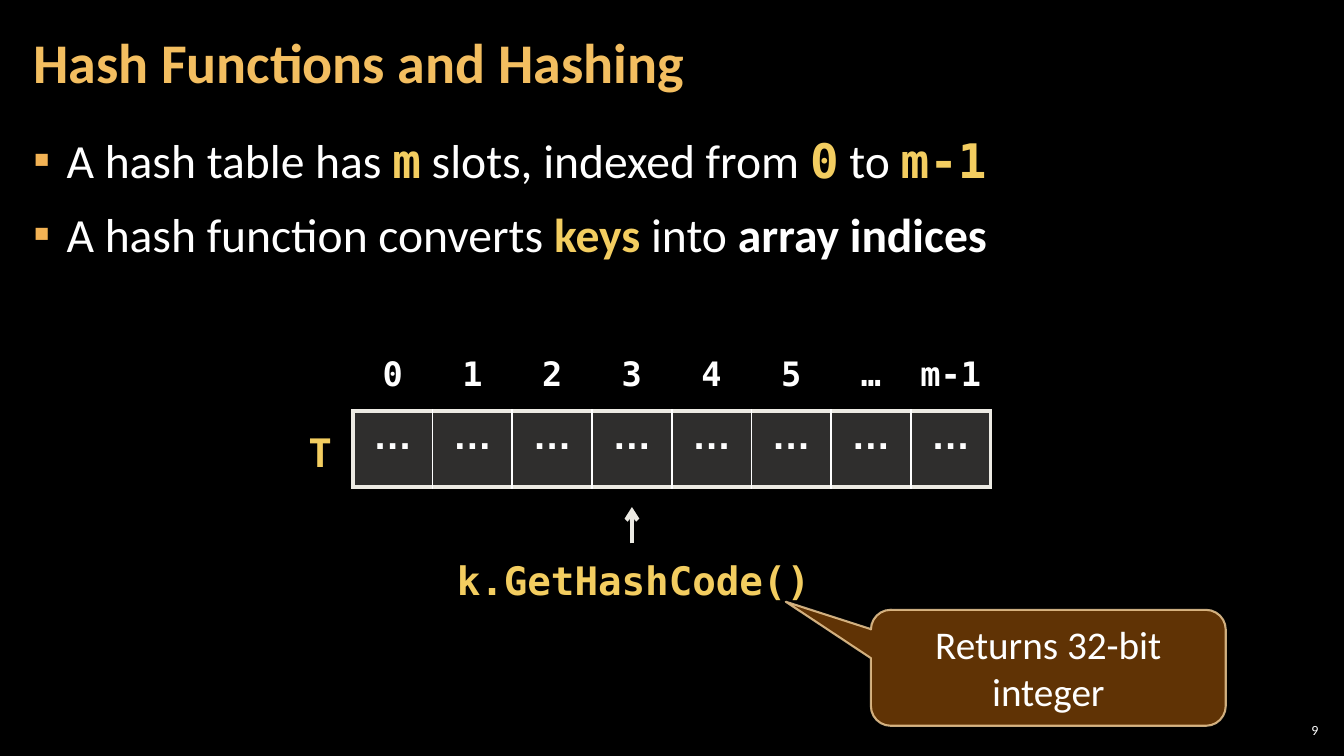
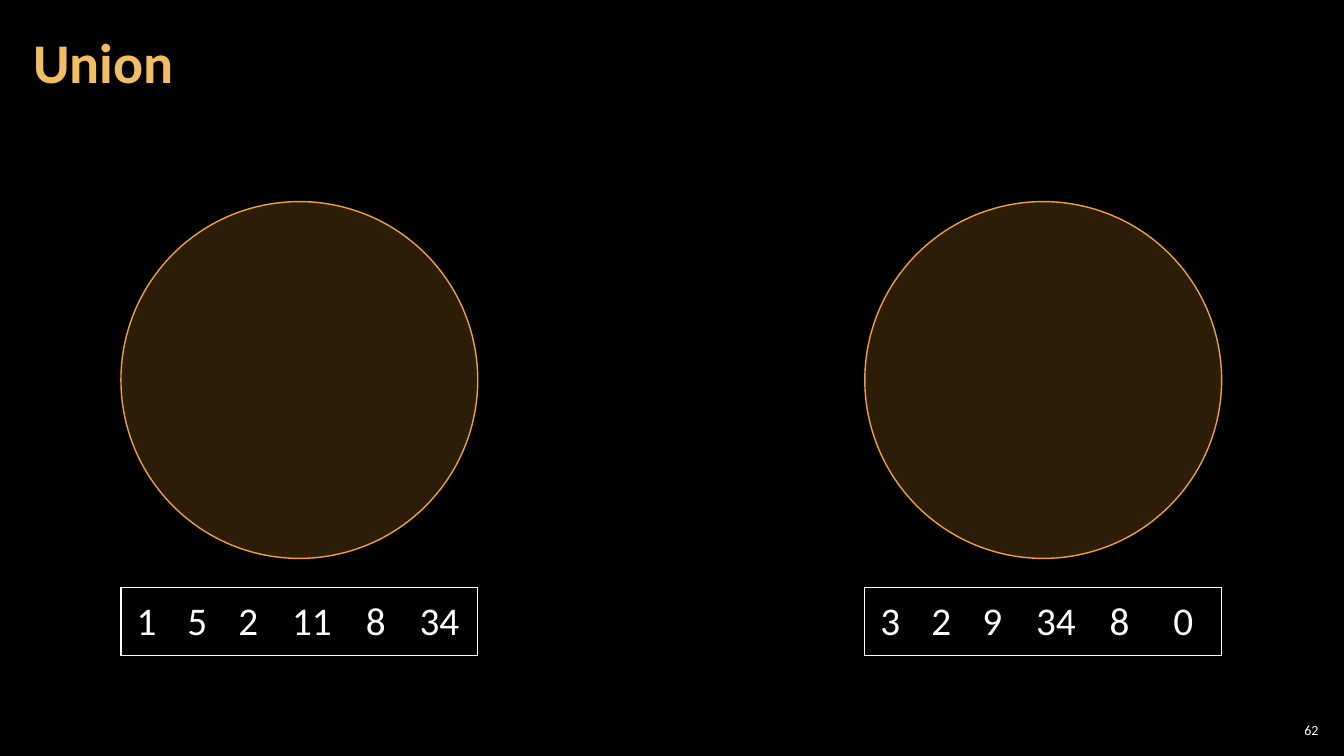
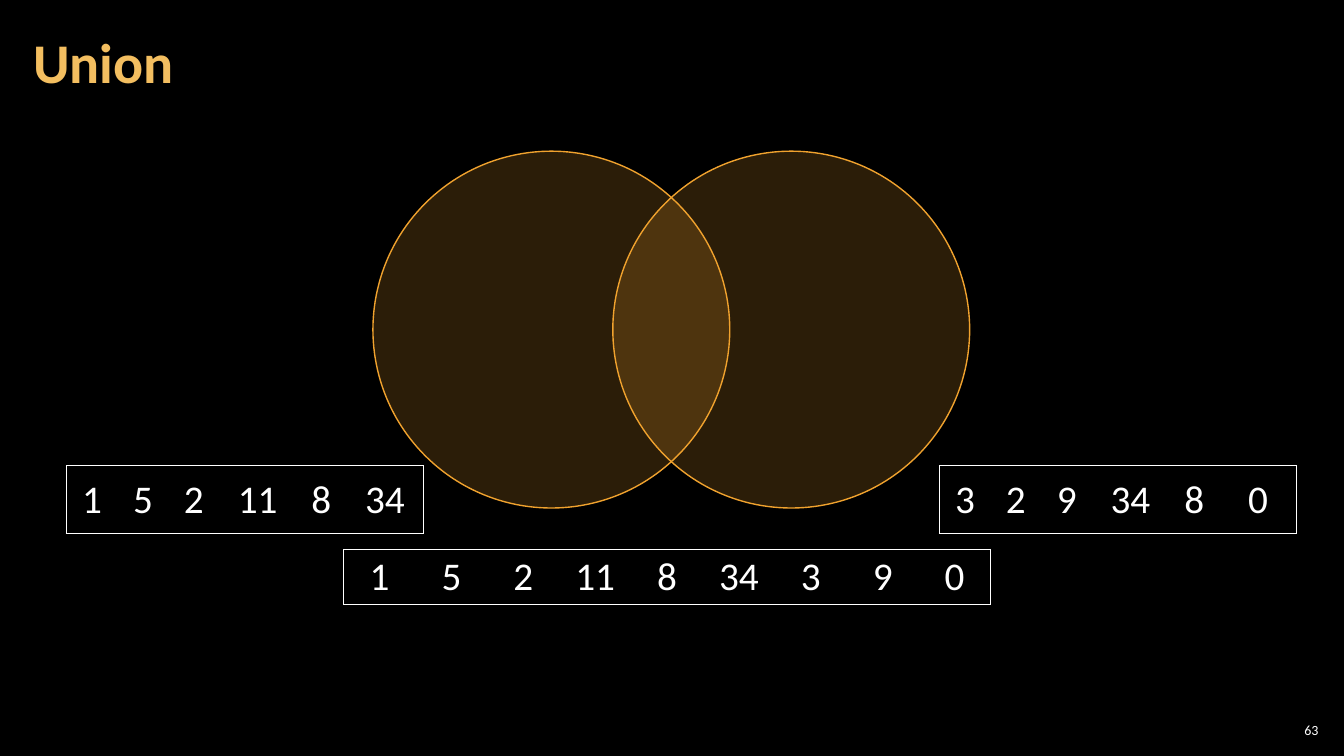
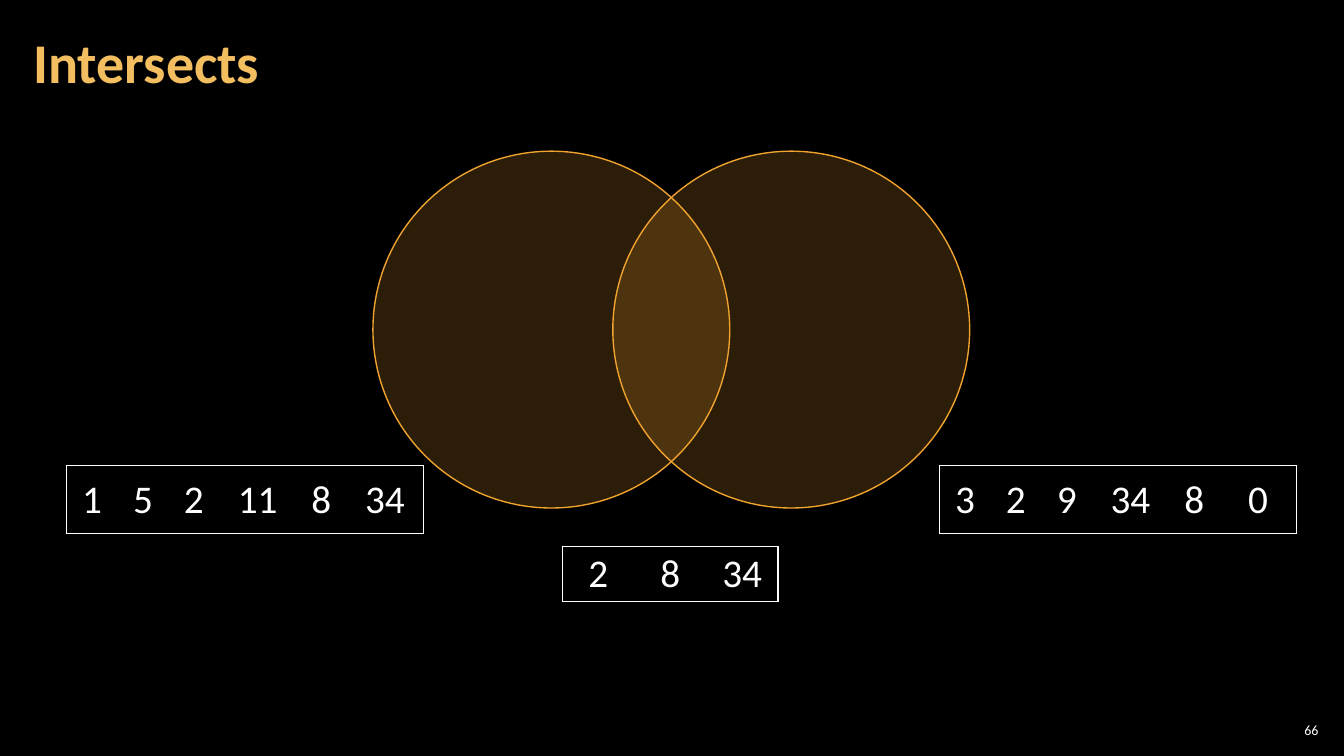
"""Build four slides on hash tables and set operations."""
from lxml.etree import SubElement
from pptx import Presentation
from pptx.dml.color import RGBColor
from pptx.enum.shapes import MSO_CONNECTOR, MSO_SHAPE
from pptx.enum.text import MSO_ANCHOR, MSO_AUTO_SIZE, PP_ALIGN
from pptx.oxml import parse_xml
from pptx.oxml.ns import nsdecls, qn
from pptx.util import Pt

SANS, MONO, DOTS = "Calibri", "DejaVu Sans Mono", "Arial"
BLACK, WHITE, IVORY = "000000", "FFFFFF", "ECEAE3"
TITLE, CODE, BULLET, ORANGE = "F3BE60", "F3CD60", "F2B254", "F0A22E"
BROWN, SAND = "663606", "F8D49E"
NO_STYLE = "{2D5ABB26-0587-4C30-8999-92F81FD0307C}"

PLAIN = (SANS, WHITE, False)
BOLD = (SANS, WHITE, True)
KEY = (SANS, CODE, True)
MONO_KEY = (MONO, CODE, True)

HASH_TITLE, HASH_NUMBER = "Hash Functions and Hashing", 9
HASH_BULLETS = [
    [("A hash table has ", PLAIN), ("m", MONO_KEY), (" slots, indexed from ", PLAIN),
     ("0", MONO_KEY), (" to ", PLAIN), ("m-1", MONO_KEY)],
    [("A hash function converts ", PLAIN), ("keys", KEY), (" into ", PLAIN),
     ("array indices", BOLD)],
]
INDICES = ["0", "1", "2", "3", "4", "5", "…", "m-1"]
SLOTS = ["…"] * len(INDICES)
ARRAY_X, ARRAY_W = 350, 633

SET_A, SET_B = ["1", "5", "2", "11", "8", "34"], ["3", "2", "9", "34", "8", "0"]
SET_WEIGHTS = [2, 2, 2, 3, 2, 3]
SET_W, SET_H = 354, 67
RESULT_COL, RESULT_H = 71.33, 55
APART = {"circles": (120, 858), "circle_y": 200, "lists": (120, 858), "list_y": 583}
OVERLAP = {"circles": (370, 608), "circle_y": 150, "lists": (66, 932), "list_y": 462}
SET_SLIDES = [
    ("Union", 62, APART, None),
    ("Union", 63, OVERLAP, (341, 545, ["1", "5", "2", "11", "8", "34", "3", "9", "0"])),
    ("Intersects", 66, OVERLAP, (558, 542, ["2", "8", "34"])),
]


def px(*lengths):
    return [round(n * 9144) for n in lengths]


def rgb(code):
    return RGBColor.from_string(code)


def add_run(p, text, size, style):
    r = p.add_run()
    r.text = text
    r.font.size = Pt(size)
    r.font.name, r.font.color.rgb, r.font.bold = style[0], rgb(style[1]), style[2]


def set_margins(target, x, y):
    target.margin_left = target.margin_right = px(x)[0]
    target.margin_top = target.margin_bottom = px(y)[0]


def fade(parent, percent):
    color = parent.find(qn("a:solidFill") + "/" + qn("a:srgbClr"))
    SubElement(color, qn("a:alpha")).set("val", str(percent * 1000))


def place(sp, *box):
    sp.left, sp.top, sp.width, sp.height = px(*box)


def add_text(s, box, text, size, style, align=PP_ALIGN.CENTER, wrap=True):
    tf = s.shapes.add_textbox(*px(*box)).text_frame
    tf.word_wrap = wrap
    p = tf.paragraphs[0]
    p.alignment = align
    add_run(p, text, size, style)
    return tf


def add_slide(prs, layout, title, number):
    s = prs.slides.add_slide(prs.slide_layouts[layout])
    place(s.shapes.title, 21, 4, 1047, 121)
    tf = s.shapes.title.text_frame
    tf.auto_size, tf.vertical_anchor = MSO_AUTO_SIZE.NONE, MSO_ANCHOR.MIDDLE
    set_margins(tf, 12, 4)
    p = tf.paragraphs[0]
    p.alignment, p.line_spacing = PP_ALIGN.LEFT, 0.9
    add_run(p, title, 40, (SANS, TITLE, True))
    tf = add_text(s, (1265, 714, 47, 21), str(number), 10, PLAIN, PP_ALIGN.RIGHT)
    tf.vertical_anchor = MSO_ANCHOR.MIDDLE
    set_margins(tf, 4, 4)
    return s


def add_bullets(s, lines):
    body = s.placeholders[1]
    place(body, 21, 126, 1291, 609)
    tf = body.text_frame
    tf.auto_size = MSO_AUTO_SIZE.NONE
    set_margins(tf, 12, 4)
    for i, runs in enumerate(lines):
        p = tf.add_paragraph() if i else tf.paragraphs[0]
        pPr = p._p.get_or_add_pPr()
        indent = px(33)[0]
        pPr.set("marL", str(indent))
        pPr.set("indent", str(-indent))
        color = SubElement(SubElement(pPr, qn("a:buClr")), qn("a:srgbClr"))
        color.set("val", BULLET)
        SubElement(pPr, qn("a:buFont")).set("typeface", SANS)
        SubElement(pPr, qn("a:buChar")).set("char", "▪")
        p.space_before, p.space_after = Pt(6 if i else 0), Pt(6)
        for text, style in runs:
            add_run(p, text, 34, style)


def set_borders(cell, borders):
    tcPr = cell._tc.get_or_add_tcPr()
    for i, side in enumerate(side for side in "LRTB" if side in borders):
        color, width = borders[side]
        tcPr.insert(i, parse_xml(
            f'<a:ln{side} {nsdecls("a")} w="{Pt(width)}"><a:solidFill>'
            f'<a:srgbClr val="{color}"/></a:solidFill></a:ln{side}>'))


def add_row(s, box, values, size, style, weights=None, margins=(13, 5),
            anchor=MSO_ANCHOR.MIDDLE, outer=None, inner=None, fill=None):
    weights = weights or [1] * len(values)
    frame = s.shapes.add_table(1, len(values), *px(*box))
    frame._element.xpath(".//a:tableStyleId")[0].text = NO_STYLE
    table = frame.table
    table.first_row = table.horz_banding = False
    for i, value in enumerate(values):
        table.columns[i].width = px(box[2] * weights[i] / sum(weights))[0]
        cell = table.cell(0, i)
        set_margins(cell, *margins)
        cell.vertical_anchor = anchor
        if fill:
            cell.fill.solid()
            cell.fill.fore_color.rgb = rgb(fill)
            fade(cell._tc.tcPr, 20)
        else:
            cell.fill.background()
        sides = {"L": inner if i else outer, "T": outer, "B": outer,
                 "R": inner if i < len(values) - 1 else outer}
        set_borders(cell, {side: line for side, line in sides.items() if line})
        p = cell.text_frame.paragraphs[0]
        p.alignment, p.line_spacing = PP_ALIGN.CENTER, 0.95
        add_run(p, value, size, style)


def add_shape(s, kind, box, fill, opacity, line, width):
    sp = s.shapes.add_shape(kind, *px(*box))
    sp.shadow.inherit = False
    sp.fill.solid()
    sp.fill.fore_color.rgb = rgb(fill)
    fade(sp._element.spPr, opacity)
    sp.line.color.rgb, sp.line.width = rgb(line), Pt(width)
    return sp


def add_up_arrow(s, x, bottom, top):
    line = s.shapes.add_connector(MSO_CONNECTOR.STRAIGHT, *px(x, bottom, x, top))
    line.line.color.rgb, line.line.width = rgb(IVORY), Pt(3)
    spPr = line._element.spPr
    SubElement(spPr.find(qn("a:ln")), qn("a:tailEnd")).set("type", "arrow")
    SubElement(spPr, qn("a:effectLst"))


def add_callout(s, box, text):
    sp = add_shape(s, MSO_SHAPE.ROUNDED_RECTANGULAR_CALLOUT, box, BROWN, 95, SAND, 1.5)
    fade(sp._element.spPr.find(qn("a:ln")), 80)
    for i, value in enumerate((-0.74, -0.57, 0.17)):
        sp.adjustments[i] = value
    tf = sp.text_frame
    tf.word_wrap, tf.vertical_anchor = True, MSO_ANCHOR.MIDDLE
    p = tf.paragraphs[0]
    p.alignment = PP_ALIGN.CENTER
    add_run(p, text, 28, PLAIN)


def build_hash_slide(prs):
    s = add_slide(prs, 1, HASH_TITLE, HASH_NUMBER)
    add_bullets(s, HASH_BULLETS)
    add_row(s, (ARRAY_X, 408, ARRAY_W, 75), SLOTS, 28, (DOTS, WHITE, True),
            anchor=MSO_ANCHOR.TOP, outer=(IVORY, 3), inner=(WHITE, 1.5), fill=IVORY)
    add_row(s, (ARRAY_X, 350, ARRAY_W, 46), INDICES, 24, (MONO, WHITE, True),
            margins=(5, 4), anchor=MSO_ANCHOR.TOP)
    add_text(s, (296, 420, 42, 57), "T", 28, MONO_KEY, wrap=False)
    add_text(s, (441, 547, 375, 57), "k.GetHashCode()", 28, MONO_KEY)
    add_up_arrow(s, ARRAY_X + ARRAY_W * 3.5 / len(INDICES), 539, 503)
    add_callout(s, (864, 605, 352, 115), "Returns 32-bit integer")


def build_set_slide(prs, title, number, layout, result):
    s = add_slide(prs, 5, title, number)
    for x in reversed(layout["circles"]):
        add_shape(s, MSO_SHAPE.OVAL, (x, layout["circle_y"], SET_W, SET_W),
                  ORANGE, 18, ORANGE, 1)
    for x, values in zip(layout["lists"], (SET_A, SET_B)):
        add_row(s, (x, layout["list_y"], SET_W, SET_H), values, 28, PLAIN,
                SET_WEIGHTS, outer=(WHITE, 1))
    if result:
        x, y, values = result
        add_row(s, (x, y, RESULT_COL * len(values), RESULT_H), values, 28, PLAIN,
                outer=(WHITE, 1))


def main():
    prs = Presentation()
    prs.slide_width, prs.slide_height = px(1333.33, 750)
    bg = prs.slide_master.background.fill
    bg.solid()
    bg.fore_color.rgb = rgb(BLACK)
    build_hash_slide(prs)
    for row in SET_SLIDES:
        build_set_slide(prs, *row)
    prs.save("out.pptx")


if __name__ == "__main__":
    main()
